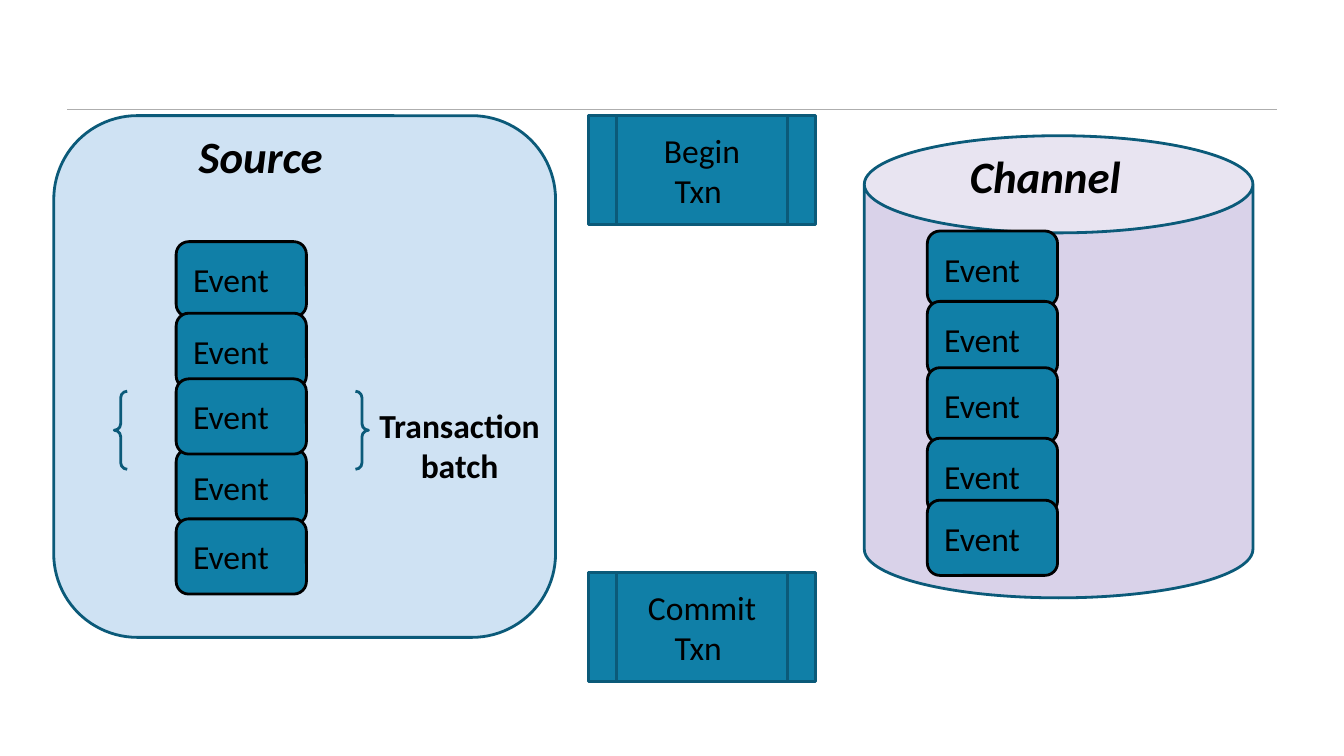
from typing import NamedTuple, Optional

from lxml import etree
from pptx import Presentation
from pptx.dml.color import RGBColor
from pptx.enum.shapes import MSO_CONNECTOR, MSO_SHAPE
from pptx.enum.text import MSO_ANCHOR, PP_ALIGN
from pptx.oxml.ns import qn
from pptx.util import Pt

ROUNDED = MSO_SHAPE.ROUNDED_RECTANGLE
CAN = MSO_SHAPE.CAN
BRACES = MSO_SHAPE.DOUBLE_BRACE
PROCESS = MSO_SHAPE.FLOWCHART_PREDEFINED_PROCESS
STRAIGHT = MSO_CONNECTOR.STRAIGHT
TOP, MIDDLE = MSO_ANCHOR.TOP, MSO_ANCHOR.MIDDLE
LEFT, CENTER = PP_ALIGN.LEFT, PP_ALIGN.CENTER

FONT = "Calibri"
BLACK, TEAL, DARK_TEAL = "000000", "107FA7", "0B5A79"
PALE_BLUE, LILAC, GREY = "CFE2F3", "D9D2E9", "AEAEAE"
INSET = 7.2
EVENT_W, EVENT_H = 69.8, 40.3


class Box(NamedTuple):
    x: float
    y: float
    w: float
    h: float


class Style(NamedTuple):
    size: float = 18
    bold: bool = False
    italic: bool = False
    align: PP_ALIGN = LEFT
    anchor: MSO_ANCHOR = MIDDLE


class Stack(NamedTuple):
    x: float
    tops: tuple[float, ...]


class Step(NamedTuple):
    y: float
    lines: tuple[str, ...]


HEADING = Style(24, True, True, LEFT, TOP)
BATCH = Style(18, True, False, CENTER, TOP)
EVENT = Style()
STEP = Style(align=CENTER)

CHANNEL_EVENTS = Stack(496.8, (123.8, 161.5, 197, 234.8, 268))
SOURCE_EVENTS = Stack(94.4, (129.5, 167.8, 240.6, 203, 278))
STEPS = (Step(61.8, ("Begin", "Txn ")), Step(306.8, ("Commit", "Txn ")))


def color(value: str) -> RGBColor:
    return RGBColor.from_string(value)


def write(shape, lines: tuple[str, ...], style: Style) -> None:
    tf = shape.text_frame
    tf.word_wrap = True
    tf.vertical_anchor = style.anchor
    tf.margin_left = tf.margin_right = Pt(INSET)
    tf.margin_top = tf.margin_bottom = Pt(INSET)
    for i, line in enumerate(lines):
        p = tf.add_paragraph() if i else tf.paragraphs[0]
        p.alignment = style.align
        r = p.add_run()
        r.text = line
        r.font.name = FONT
        r.font.size = Pt(style.size)
        r.font.bold = style.bold
        r.font.italic = style.italic
        r.font.color.rgb = color(BLACK)


def add_shape(s, kind: MSO_SHAPE, box: Box, fill: Optional[str], line: str = DARK_TEAL):
    sp = s.shapes.add_shape(kind, *map(Pt, box))
    sp.shadow.inherit = False
    if fill:
        sp.fill.solid()
        sp.fill.fore_color.rgb = color(fill)
    else:
        sp.fill.background()
    sp.line.color.rgb = color(line)
    sp.line.width = Pt(1.5)
    return sp


def add_label(s, box: Box, text: str, style: Style) -> None:
    write(s.shapes.add_textbox(*map(Pt, box)), (text,), style)


def add_events(s, stack: Stack) -> None:
    for y in stack.tops:
        sp = add_shape(s, ROUNDED, Box(stack.x, y, EVENT_W, EVENT_H), TEAL, BLACK)
        write(sp, ("Event",), EVENT)


def add_rule(s, x1: float, x2: float, y: float) -> None:
    rule = s.shapes.add_connector(STRAIGHT, Pt(x1), Pt(y), Pt(x2), Pt(y))
    rule.line.color.rgb = color(GREY)
    rule.line.width = Pt(0.5)
    etree.SubElement(rule._element.spPr, qn("a:effectLst"))


def main() -> None:
    prs = Presentation()
    prs.slide_width, prs.slide_height = Pt(720), Pt(405)
    s = prs.slides.add_slide(prs.slide_layouts[6])

    add_rule(s, 36, 684, 58.5)
    add_shape(s, ROUNDED, Box(28.8, 62, 268.8, 279.5), PALE_BLUE)
    add_label(s, Box(99.4, 62, 100, 44), "Source", HEADING)
    add_shape(s, CAN, Box(463, 72.7, 208.2, 247.6), LILAC)
    add_label(s, Box(512.5, 72.7, 114.5, 44), "Channel", HEADING)
    add_events(s, CHANNEL_EVENTS)
    add_shape(s, BRACES, Box(61.2, 209.6, 136.2, 41.8), None)
    add_label(s, Box(187.2, 209.6, 118, 58.4), "Transaction batch", BATCH)
    for step in STEPS:
        sp = add_shape(s, PROCESS, Box(315.2, step.y, 121.8, 58.3), TEAL)
        write(sp, step.lines, STEP)
    add_events(s, SOURCE_EVENTS)

    prs.save("out.pptx")


if __name__ == "__main__":
    main()
